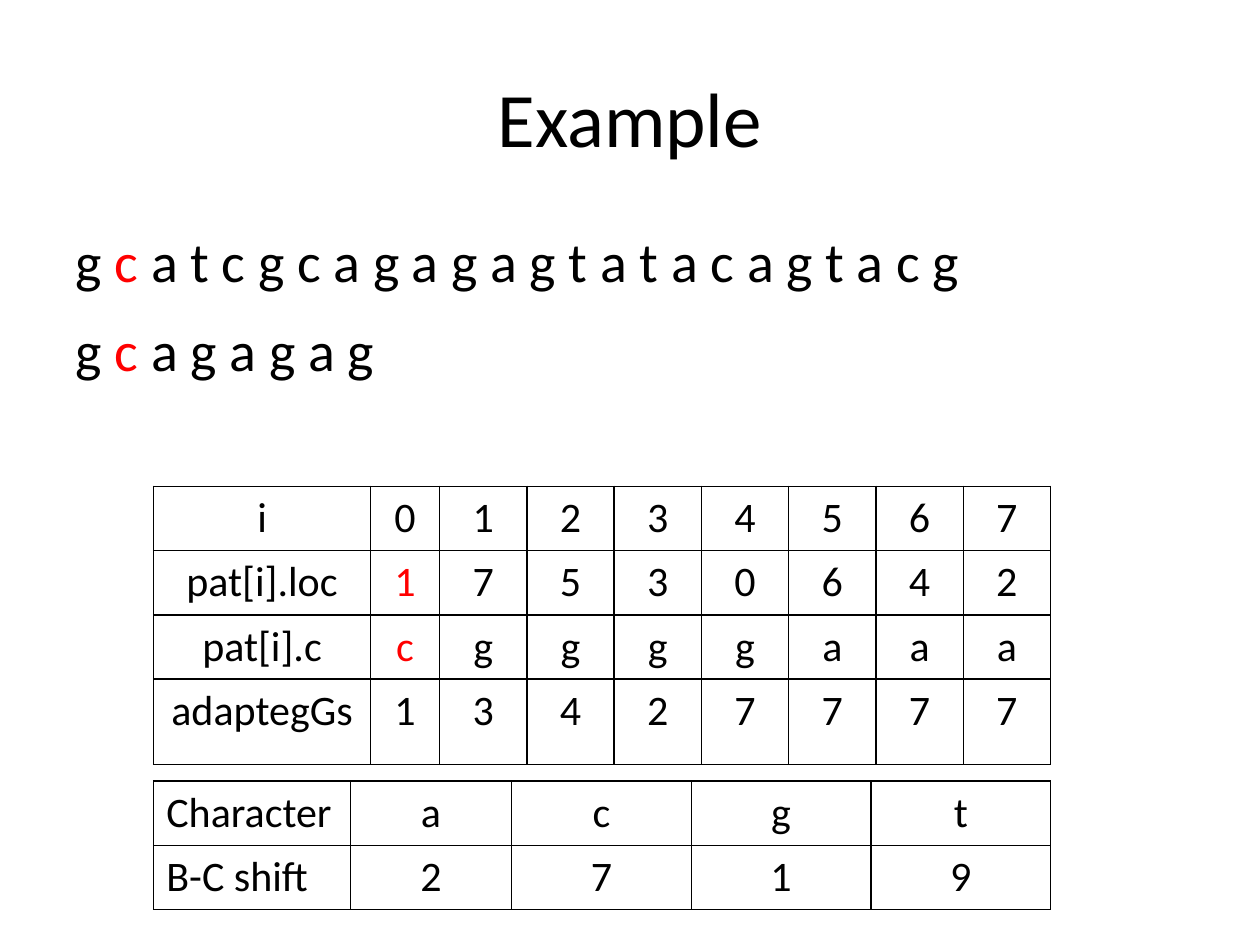
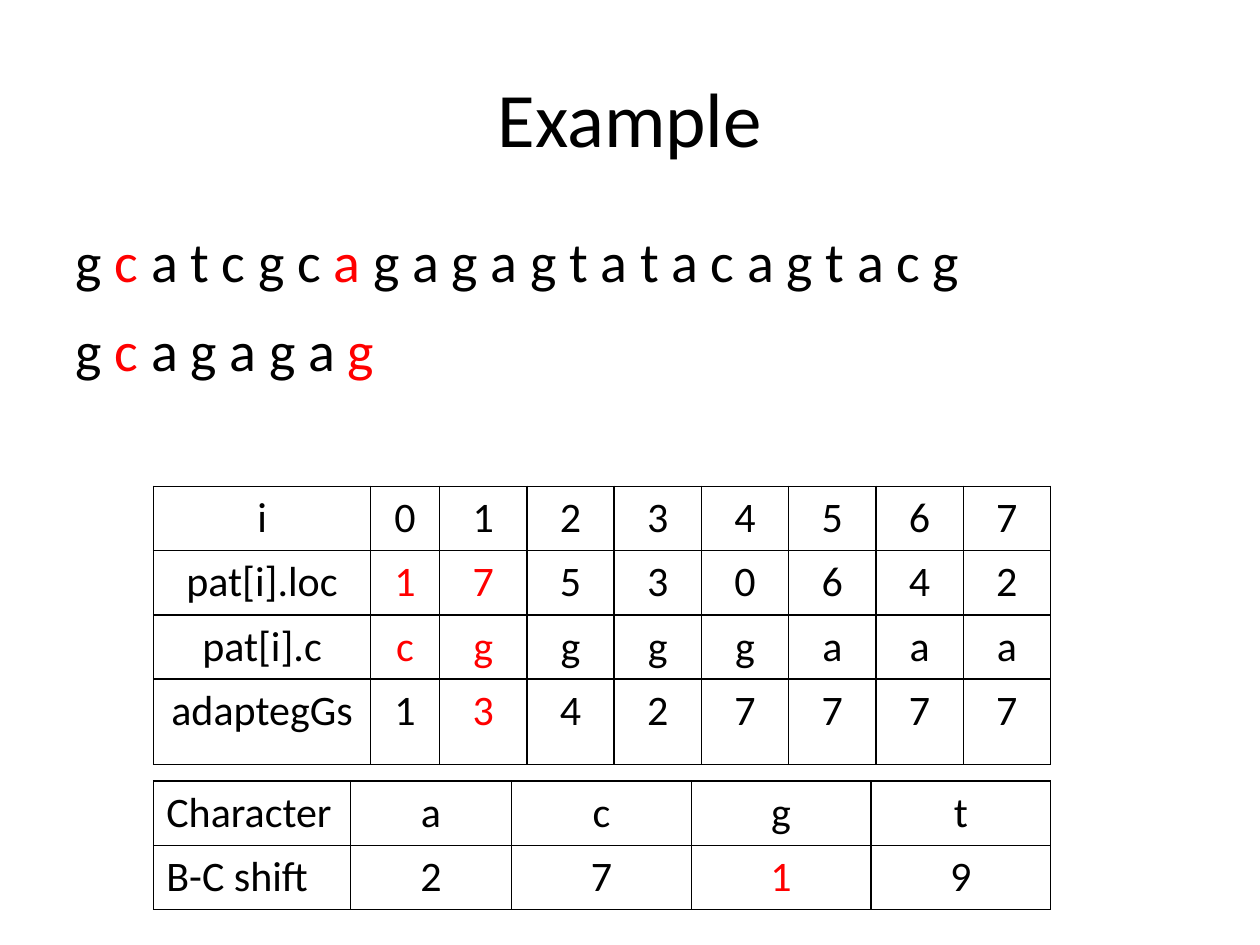
from itertools import groupby

from lxml.etree import SubElement
from pptx import Presentation
from pptx.dml.color import RGBColor
from pptx.enum.text import MSO_ANCHOR, PP_ALIGN
from pptx.oxml.ns import qn
from pptx.util import Inches, Pt

COLORS = {"text": "000000", "match": "FF0000", "border": "000000"}
FONT = "Calibri"
TABLE_LEFT, TABLE_WIDTH = 1.22, 7.12
ROW_HEIGHT = 0.51

TEXT = "g c a t c g c a g a g a g t a t a c a g t a c g"
PATTERN = "g c a g a g a g"
PATTERN_ROWS = [
    ["i", *"01234567"],
    ["pat[i].loc", *"17530642"],
    ["pat[i].c", *"cggggaaa"],
    ["adaptegGs", *"13427777"],
]
SHIFT_ROWS = [["Character", *"acgt"], ["B-C shift", *"2719"]]

# Marks are letter positions in the sequences and (row, column) in the tables.
STEPS = [
    {"text": {1}, "pattern": {1},
     "pattern_cells": {(1, 1), (2, 1)}, "shift_cells": set()},
    {"text": {1, 7}, "pattern": {1, 7},
     "pattern_cells": {(1, 1), (2, 1), (1, 2), (2, 2), (3, 2)},
     "shift_cells": {(1, 3)}},
]


def place(shape, left, top, width, height):
    box = {"left": left, "top": top, "width": width, "height": height}
    for side, length in box.items():
        setattr(shape, side, Inches(length))


def add_run(paragraph, text, size, marked=False):
    run = paragraph.add_run()
    run.text = text
    for attribute, value in {"name": FONT, "size": Pt(size)}.items():
        setattr(run.font, attribute, value)
    color = COLORS["match" if marked else "text"]
    run.font.color.rgb = RGBColor.from_string(color)


def add_title(slide, text):
    title = slide.shapes.title
    place(title, 0.5, 0.3, 9, 1.25)
    title.text_frame.vertical_anchor = MSO_ANCHOR.MIDDLE
    paragraph = title.text_frame.paragraphs[0]
    paragraph.alignment = PP_ALIGN.CENTER
    add_run(paragraph, text, 44)


def add_sequence(paragraph, sequence, marks, space_before):
    """Write spaced letters, with the letters at the marked positions in red."""
    properties = paragraph._p.get_or_add_pPr()
    for name in ("marL", "indent"):
        properties.set(name, "0")
    SubElement(properties, qn("a:buNone"))
    paragraph.space_before = Pt(space_before)

    def is_marked(item):
        position, letter = item
        return letter != " " and position // 2 in marks

    for marked, items in groupby(enumerate(sequence), key=is_marked):
        add_run(paragraph, "".join(letter for _, letter in items), 32, marked)


def add_sequences(slide, step):
    body = slide.placeholders[1]
    place(body, 0.5, 1.75, 9, 4.95)
    frame = body.text_frame
    add_sequence(frame.paragraphs[0], TEXT, step["text"], 0)
    add_sequence(frame.add_paragraph(), PATTERN, step["pattern"], 12)


def add_borders(cell):
    properties = cell._tc.get_or_add_tcPr()
    for side in ("lnL", "lnR", "lnT", "lnB"):
        line = SubElement(properties, qn(f"a:{side}"), w=str(Pt(1)))
        fill = SubElement(line, qn("a:solidFill"))
        SubElement(fill, qn("a:srgbClr"), val=COLORS["border"])


def add_grid(slide, top, rows, first_widths, heights, marks, label_align):
    """Add a bordered table whose remaining columns share the width equally."""
    columns = len(rows[0])
    equal_count = columns - len(first_widths)
    equal_width = (TABLE_WIDTH - sum(first_widths)) / equal_count
    widths = first_widths + [equal_width] * equal_count
    table = slide.shapes.add_table(
        len(rows), columns, Inches(TABLE_LEFT), Inches(top),
        Inches(TABLE_WIDTH), Inches(sum(heights))).table
    for flag in ("first_row", "horz_banding"):
        setattr(table, flag, False)
    for column, width in zip(table.columns, widths):
        column.width = Inches(width)
    for row, height in zip(table.rows, heights):
        row.height = Inches(height)
    for r, values in enumerate(rows):
        for c, value in enumerate(values):
            cell = table.cell(r, c)
            add_borders(cell)
            cell.fill.background()
            paragraph = cell.text_frame.paragraphs[0]
            paragraph.alignment = PP_ALIGN.CENTER if c else label_align
            add_run(paragraph, value, 24, (r, c) in marks)


def add_example(prs, step):
    slide = prs.slides.add_slide(prs.slide_layouts[1])
    add_title(slide, "Example")
    add_sequences(slide, step)
    add_grid(slide, 6.2, SHIFT_ROWS, [1.56, 1.28], [ROW_HEIGHT] * 2,
             step["shift_cells"], PP_ALIGN.LEFT)
    add_grid(slide, 3.86, PATTERN_ROWS, [1.72, 0.55], [ROW_HEIGHT] * 3 + [0.68],
             step["pattern_cells"], PP_ALIGN.CENTER)


def main():
    prs = Presentation()
    prs.slide_width, prs.slide_height = Inches(10), Inches(7.5)
    for step in STEPS:
        add_example(prs, step)
    prs.save("out.pptx")


if __name__ == "__main__":
    main()
